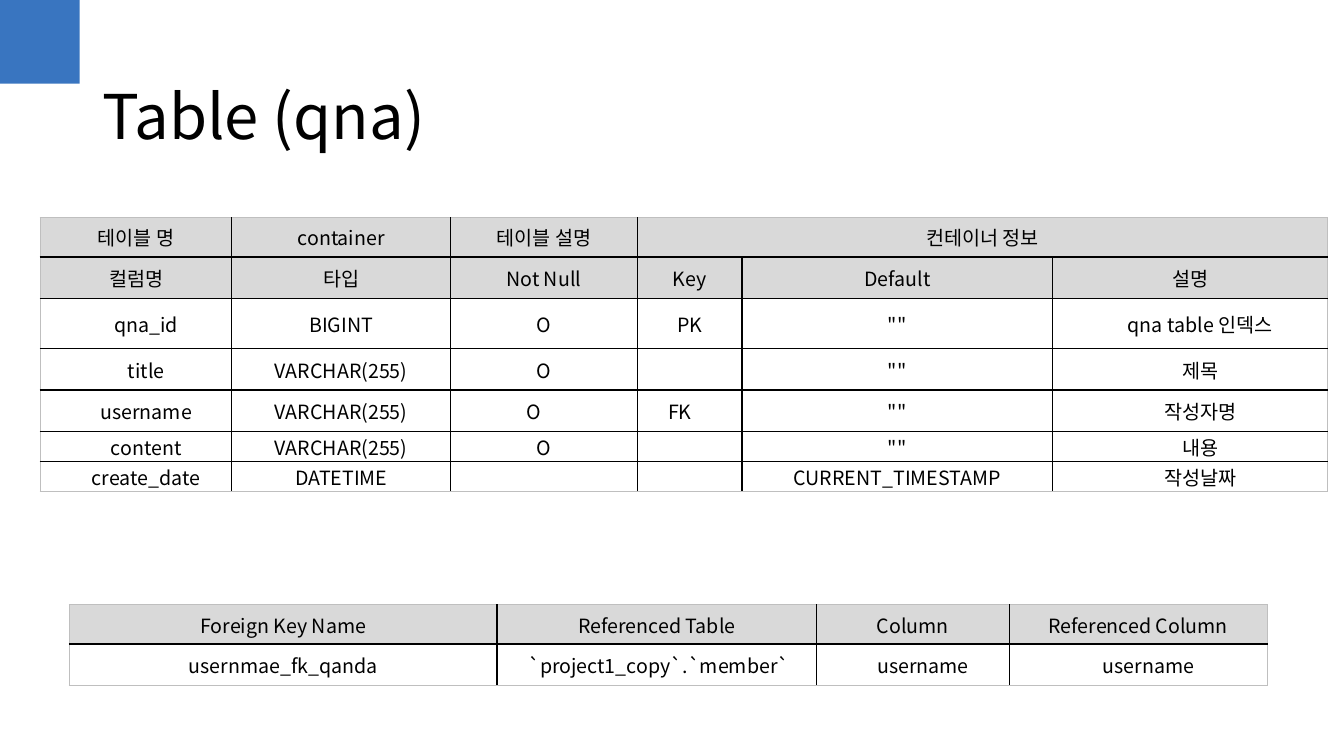
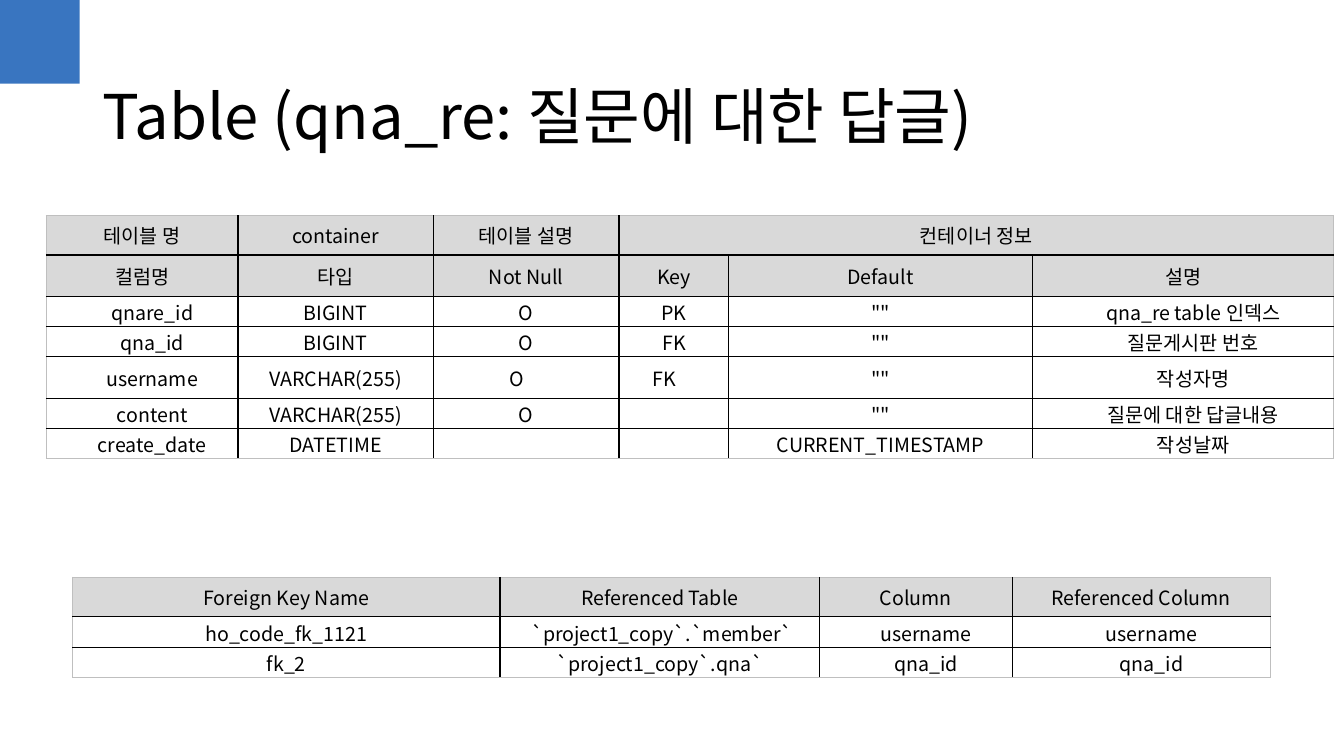
from lxml import etree
from pptx import Presentation
from pptx import util as u
from pptx.dml.color import RGBColor
from pptx.enum import shapes, text
from pptx.oxml.ns import qn

BLUE = RGBColor(0x39, 0x75, 0xC0)
GRAY = RGBColor(0xD9, 0xD9, 0xD9)
EDGE = RGBColor(0xBF, 0xBF, 0xBF)
WHITE = RGBColor(0xFF, 0xFF, 0xFF)
BLACK = RGBColor(0, 0, 0)
FONT = "Noto Sans CJK KR"

HEADS = [
    ["테이블 명", "container", "테이블 설명", "컨테이너 정보", "", ""],
    ["컬럼명", "타입", "Not Null", "Key", "Default", "설명"],
]
USER = ["username", "VARCHAR(255)", "O　", "FK　", '""', "작성자명"]
DATE = ["create_date", "DATETIME", "", "", "CURRENT_TIMESTAMP", "작성날짜"]
KEYS = ["Foreign Key Name", "Referenced Table", "Column", "Referenced Column"]
MEMBER = " `project1_copy`.`member`"
WIDTHS = [4.24, 3.17, 1.91, 2.56]
HEAD, TALL, LOW = 0.39, 0.41, 0.3


class Deck:
    """Holds the style and the current slide."""

    def __init__(self):
        self.prs = Presentation()
        self.prs.slide_width = u.Inches(13.33)
        self.prs.slide_height = u.Inches(7.5)
        self.slide = None

    def page(self, title):
        """Start a slide with its corner block and title."""
        self.slide = self.prs.slides.add_slide(self.prs.slide_layouts[6])
        self.block(0, 0, 0.79, 0.83)
        self.title(title)

    def block(self, *at):
        """Draw a plain blue rectangle."""
        box = self.slide.shapes.add_shape(
            shapes.MSO_SHAPE.RECTANGLE, *map(u.Inches, at))
        box.shadow.inherit = False
        box.fill.solid()
        box.fill.fore_color.rgb = BLUE
        box.line.fill.background()

    def title(self, words):
        """Write the slide title."""
        box = self.slide.shapes.add_textbox(
            *map(u.Inches, (0.92, 0.35, 11.5, 1.45)))
        frame = box.text_frame
        frame.word_wrap = True
        frame.vertical_anchor = text.MSO_ANCHOR.MIDDLE
        frame.text = words
        frame.paragraphs[0].line_spacing = 1.18
        self.style(frame.paragraphs[0], 44)

    def style(self, para, size):
        """Set the font of a paragraph, even an empty one."""
        for run in para.runs:
            run.font.size = u.Pt(size)
            run.font.name = FONT
            run.font.color.rgb = BLACK
            east = etree.SubElement(run.font._element, qn("a:ea"))
            east.set("typeface", FONT)
        if not para.runs:
            end = etree.SubElement(para._p, qn("a:endParaRPr"))
            end.set("sz", str(size * 100))

    def border(self, cell, outer):
        """Draw the sides of a cell, gray on the outer edge."""
        props = cell._tc.get_or_add_tcPr()
        for side, edge in zip(("lnL", "lnR", "lnT", "lnB"), outer):
            line = etree.SubElement(props, qn("a:" + side), w=str(u.Pt(1)))
            fill = etree.SubElement(line, qn("a:solidFill"))
            color = EDGE if edge else BLACK
            etree.SubElement(fill, qn("a:srgbClr"), val=str(color))

    def cell(self, cell, words, fill, tight, shift, outer):
        """Fill and format one table cell."""
        cell.text_frame.text = words
        cell.vertical_anchor = text.MSO_ANCHOR.MIDDLE
        if tight:
            cell.margin_left = cell.margin_right = u.Inches(0.01)
            cell.margin_top, cell.margin_bottom = u.Inches(0.01), 0
        para = cell.text_frame.paragraphs[0]
        para.alignment = text.PP_ALIGN.CENTER
        if shift:
            props = para._p.get_or_add_pPr()
            props.set("marL", str(u.Inches(0.2)))
            props.set("indent", "0")
        self.style(para, 14)
        self.border(cell, outer)
        cell.fill.solid()
        cell.fill.fore_color.rgb = fill

    def table(self, left, top, widths, heights, rows, heads, shifts, span=1):
        """Add a bordered table, its last top cells merged by span."""
        grid = self.slide.shapes.add_table(
            len(rows), len(widths), u.Inches(left), u.Inches(top),
            u.Inches(sum(widths)), u.Inches(sum(heights))).table
        grid.first_row = grid.horz_banding = False
        for col, width in zip(grid.columns, widths):
            col.width = u.Inches(width)
        cols = len(widths)
        if span > 1:
            grid.cell(0, cols - span).merge(grid.cell(0, cols - 1))
        for r, (row, height) in enumerate(zip(rows, heights)):
            grid.rows[r].height = u.Inches(height)
            for c, words in enumerate(row):
                cell = grid.cell(r, c)
                wide = cell.span_width if cell.is_merge_origin else 1
                outer = (c == 0, c + wide == cols,
                         r == 0, r == len(rows) - 1)
                body = r >= heads
                self.cell(cell, words, WHITE if body else GRAY,
                          r > 0, body and c in shifts, outer)

    def schema(self, left, top, widths, heights, rows):
        """Add a table that lists columns."""
        self.table(left, top, widths, [HEAD, TALL] + heights,
                   HEADS + rows, 2, (0, 5), 3)

    def links(self, left, top, height, rows):
        """Add a table that lists foreign keys."""
        self.table(left, top, WIDTHS, [HEAD] + [height] * len(rows),
                   [KEYS] + rows, 1, (2, 3))


def main():
    """Build both slides."""
    deck = Deck()

    deck.page("Table (qna)")
    deck.schema(
        0.4, 2.16, [1.9, 2.17, 1.85, 1.04, 3.08, 2.73],
        [0.5, TALL, TALL, LOW, LOW],
        [["qna_id", "BIGINT", "O", "PK", '""', "qna table 인덱스"],
         ["title", "VARCHAR(255)", "O", "", '""', "제목"],
         USER,
         ["content", "VARCHAR(255)", "O", "", '""', "내용"],
         DATE])
    deck.links(0.69, 6, TALL,
               [["usernmae_fk_qanda", MEMBER, "username", "username"]])

    deck.page("Table (qna_re: 질문에 대한 답글)")
    deck.schema(
        0.46, 2.14, [1.9, 1.94, 1.84, 1.09, 3.01, 2.99],
        [LOW, LOW, TALL, LOW, LOW],
        [["qnare_id", "BIGINT", "O", "PK", '""', "qna_re table 인덱스"],
         ["qna_id", "BIGINT", "O", "FK", '""', "질문게시판 번호"],
         USER,
         ["content", "VARCHAR(255)", "O", "", '""', "질문에 대한 답글내용"],
         DATE])
    deck.links(0.72, 5.73, LOW,
               [["ho_code_fk_1121", MEMBER, "username", "username"],
                ["fk_2", "`project1_copy`.qna`", "qna_id", "qna_id"]])

    deck.prs.save("out.pptx")


if __name__ == "__main__":
    main()
